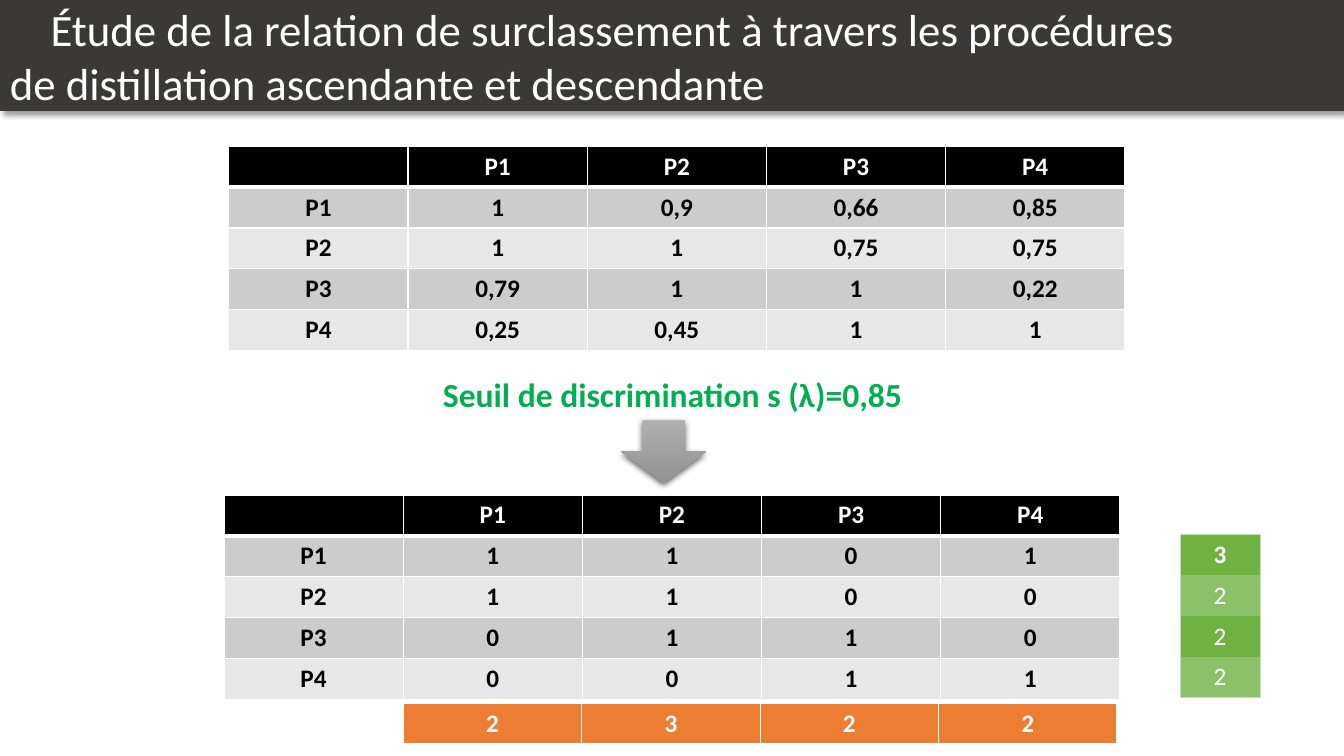
from pptx import Presentation
from pptx.dml.color import RGBColor
from pptx.enum.shapes import MSO_SHAPE as SHAPE
from pptx.enum.text import MSO_ANCHOR as ANCHOR, PP_ALIGN as ALIGN
from pptx.oxml import parse_xml
from pptx.oxml.ns import nsdecls, qn
from pptx.util import Pt

FONT = "Calibri"
WHITE = RGBColor(0xFF, 0xFF, 0xFF)
BLACK = RGBColor(0, 0, 0)
CHARCOAL = RGBColor(0x3B, 0x38, 0x38)
BAND_DARK = RGBColor(0xCC, 0xCC, 0xCC)
BAND_LIGHT = RGBColor(0xE7, 0xE7, 0xE7)
THRESHOLD_GREEN = RGBColor(0x00, 0xB0, 0x50)
GREEN = RGBColor(0x6F, 0xB2, 0x42)
GREEN_LIGHT = RGBColor(0x8D, 0xC1, 0x69)
GREEN_EDGE = RGBColor(0xC9, 0xDB, 0xC1)
ORANGE = RGBColor(0xED, 0x7D, 0x31)
ARROW_TOP = RGBColor(0xAF, 0xAF, 0xAF)
ARROW_BOTTOM = RGBColor(0x93, 0x93, 0x93)

PLAIN_TABLE = "{2D5ABB26-0587-4C30-8999-92F81FD0307C}"
NAMES = ["P1", "P2", "P3", "P4"]
CREDIBILITY = [
    ["1", "0,9", "0,66", "0,85"],
    ["1", "1", "0,75", "0,75"],
    ["0,79", "1", "1", "0,22"],
    ["0,25", "0,45", "1", "1"],
]
OUTRANKING = [
    ["1", "1", "0", "1"],
    ["1", "1", "0", "0"],
    ["0", "1", "1", "0"],
    ["0", "0", "1", "1"],
]


def add_run(p, text, size, color, bold=False):
    r = p.add_run()
    r.text = text
    r.font.name = FONT
    r.font.size = Pt(size)
    r.font.bold = bold
    r.font.color.rgb = color


def add_shadow(sp, blur, dist, angle, alpha):
    sp.shadow.inherit = False
    sp._element.spPr.find(qn("a:effectLst")).append(parse_xml(
        f'<a:outerShdw {nsdecls("a")} blurRad="{Pt(blur)}" dist="{Pt(dist)}" '
        f'dir="{angle * 60000}" algn="ctr" rotWithShape="0"><a:srgbClr val="000000">'
        f'<a:alpha val="{alpha * 1000}"/></a:srgbClr></a:outerShdw>'))


def set_borders(cell, borders):
    tcPr = cell._tc.get_or_add_tcPr()
    for side in "LRTB":
        if side in borders:
            color, width = borders[side]
            tcPr.append(parse_xml(
                f'<a:ln{side} {nsdecls("a")} w="{Pt(width)}"><a:solidFill>'
                f'<a:srgbClr val="{color}"/></a:solidFill></a:ln{side}>'))


def fill_cell(cell, text, fill, color, bold, borders):
    set_borders(cell, borders)
    cell.fill.solid()
    cell.fill.fore_color.rgb = fill
    p = cell.text_frame.paragraphs[0]
    p.alignment = ALIGN.CENTER
    if text:
        add_run(p, text, 18, color, bold)


def add_grid(s, box, rows, cols):
    x, y, w, h = box
    table = s.shapes.add_table(rows, cols, Pt(x), Pt(y), Pt(w), Pt(h)).table
    table._tbl.tblPr.find(qn("a:tableStyleId")).text = PLAIN_TABLE
    for col in table.columns:
        col.width = Pt(w / cols)
    for row in table.rows:
        row.height = Pt(h / rows)
    return table


def add_title(s, box):
    sp = s.shapes.add_shape(SHAPE.RECTANGLE, *map(Pt, box))
    sp.fill.solid()
    sp.fill.fore_color.rgb = CHARCOAL
    sp.line.fill.background()
    add_shadow(sp, 4, 3, 45, 40)
    tf = sp.text_frame
    tf.word_wrap = True
    tf.vertical_anchor = ANCHOR.MIDDLE
    lines = ["Étude de la relation de surclassement à travers les procédures",
             "de distillation ascendante et descendante"]
    for i, line in enumerate(lines):
        p = tf.add_paragraph() if i else tf.paragraphs[0]
        p.alignment = ALIGN.LEFT
        add_run(p, line, 32, WHITE)
    tf.paragraphs[0]._p.get_or_add_pPr().set("indent", str(Pt(29)))


def add_matrix(s, box, values):
    rows = [[""] + NAMES] + [[n] + v for n, v in zip(NAMES, values)]
    table = add_grid(s, box, len(rows), len(rows[0]))
    for i, row in enumerate(rows):
        borders = {side: (WHITE, 1) for side in "LRTB"}
        if i == 0:
            borders["B"] = (WHITE, 3)
        elif i == 1:
            borders["T"] = (WHITE, 3)
        band = BAND_DARK if i % 2 else BAND_LIGHT
        fill, color = (band, BLACK) if i else (BLACK, WHITE)
        for j, text in enumerate(row):
            fill_cell(table.cell(i, j), text, fill, color, True, borders)


def add_threshold(s, box):
    tf = s.shapes.add_textbox(*map(Pt, box)).text_frame
    tf.word_wrap = True
    p = tf.paragraphs[0]
    p.alignment = ALIGN.CENTER
    add_run(p, "Seuil de discrimination s (λ)=0,85", 24, THRESHOLD_GREEN, True)


def add_arrow(s, box):
    sp = s.shapes.add_shape(SHAPE.DOWN_ARROW, *map(Pt, box))
    sp.fill.gradient()
    sp.fill.gradient_angle = 270
    for stop, color in zip(sp.fill.gradient_stops, (ARROW_TOP, ARROW_BOTTOM)):
        stop.color.rgb = color
    sp.line.fill.background()
    add_shadow(sp, 4.5, 1.5, 90, 63)


def add_row_sums(s, box, sums):
    table = add_grid(s, box, len(sums), 1)
    for i, text in enumerate(sums):
        sides = "LR" + "T" * (i == 0) + "B" * (i == len(sums) - 1)
        borders = {side: (GREEN_EDGE, 0.5) for side in sides}
        fill = GREEN_LIGHT if i % 2 else GREEN
        fill_cell(table.cell(i, 0), text, fill, WHITE, i == 0, borders)


def add_column_sums(s, box, sums):
    table = add_grid(s, box, 1, len(sums))
    borders = {side: (WHITE, 1) for side in "LRT"}
    borders["B"] = (WHITE, 3)
    for j, text in enumerate(sums):
        fill_cell(table.cell(0, j), text, ORANGE, WHITE, True, borders)


prs = Presentation()
prs.slide_width, prs.slide_height = Pt(960), Pt(540)
s = prs.slides.add_slide(prs.slide_layouts[6])
add_title(s, (0, 0, 960, 79.2))
add_matrix(s, (163.5, 104.4, 640, 146), CREDIBILITY)
add_threshold(s, (304, 263.5, 353, 36))
add_matrix(s, (160, 353.5, 640, 146), OUTRANKING)
add_arrow(s, (443.5, 300.2, 61.2, 44.6))
add_row_sums(s, (843, 381.6, 57, 116.8), ["3", "2", "2", "2"])
add_column_sums(s, (288, 502.6, 510, 29.2), ["2", "3", "2", "2"])
prs.save("out.pptx")
